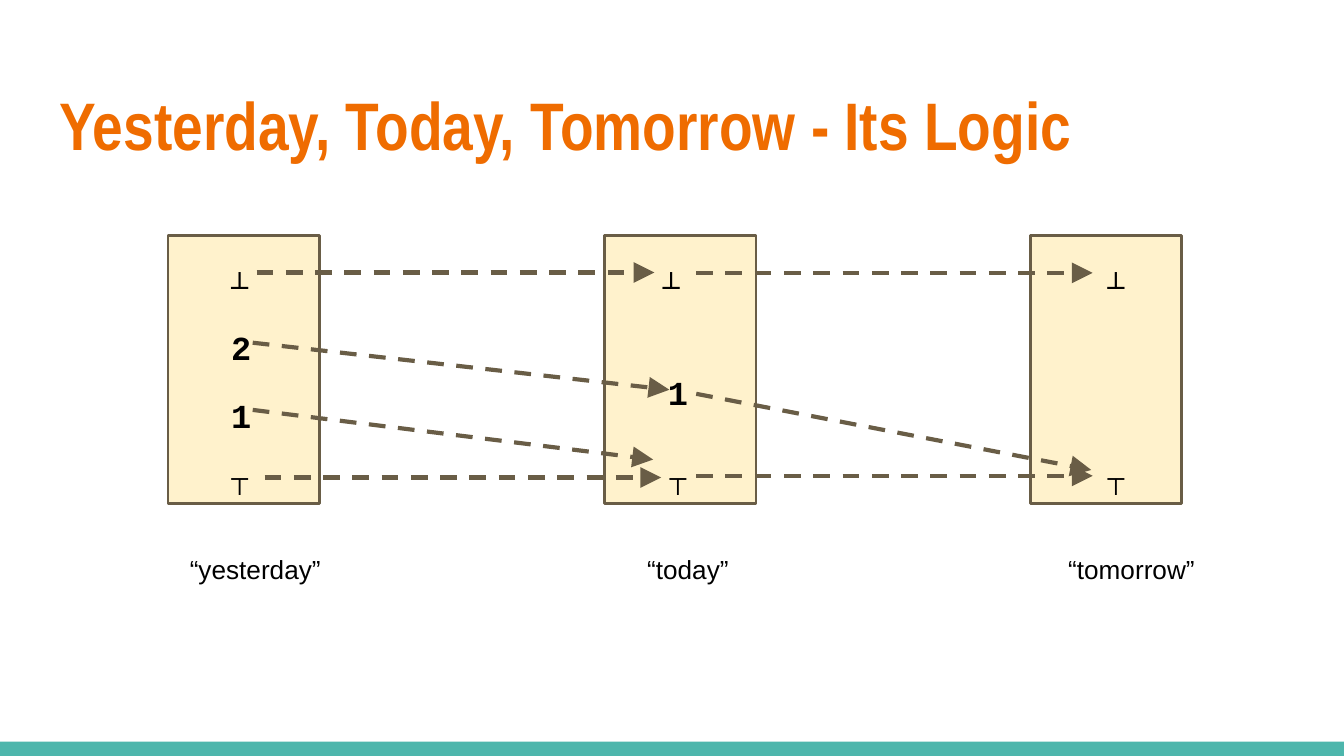
from lxml.etree import SubElement
from pptx import Presentation
from pptx.dml.color import RGBColor
from pptx.enum.dml import MSO_LINE
from pptx.enum.shapes import MSO_CONNECTOR, MSO_SHAPE
from pptx.enum.text import MSO_ANCHOR, MSO_AUTO_SIZE, PP_ALIGN
from pptx.oxml.ns import qn
from pptx.util import Pt

BROWN = "695D46"


def color(value):
    return RGBColor.from_string(value)


def set_text(shape, text, font, size, ink, bold, align, spacing=1.0):
    frame = shape.text_frame
    frame.text = text
    frame.word_wrap = True
    frame.auto_size = MSO_AUTO_SIZE.NONE
    frame.vertical_anchor = MSO_ANCHOR.TOP
    frame.margin_left = frame.margin_right = Pt(7.2)
    frame.margin_top = frame.margin_bottom = Pt(7.2)
    paragraph = frame.paragraphs[0]
    paragraph.alignment = align
    paragraph.line_spacing = spacing
    run = paragraph.runs[0]
    run.font.name = font
    run.font.size = Pt(size)
    run.font.bold = bold
    run.font.color.rgb = color(ink)


presentation = Presentation()
presentation.slide_width = Pt(720)
presentation.slide_height = Pt(405)
slide = presentation.slides.add_slide(presentation.slide_layouts[5])

# Bottom bar and the three day boxes: left, top, width, height, fill, outline
rectangles = [(0, 397.4, 720, 7.6, "4DB6AC", None)]
rectangles += [(left, 126, 81, 144, "FFF2CC", BROWN) for left in (90, 324, 552)]
for left, top, width, height, fill, outline in rectangles:
    shape = slide.shapes.add_shape(
        MSO_SHAPE.RECTANGLE, Pt(left), Pt(top), Pt(width), Pt(height))
    shape.shadow.inherit = False
    shape.fill.solid()
    shape.fill.fore_color.rgb = color(fill)
    if outline:
        shape.line.color.rgb = color(outline)
        shape.line.width = Pt(1.5)
    else:
        shape.line.fill.background()

# Title
title = slide.shapes.title
title.left, title.top, title.width, title.height = Pt(24.5), Pt(35.3), Pt(671), Pt(55.4)
set_text(title, "Yesterday, Today, Tomorrow - Its Logic", "Arial Narrow", 36,
         "EF6C00", True, PP_ALIGN.LEFT, 1.05)

# Day names below the boxes
for text, left in (("“yesterday”", 79.2), ("“today”", 311), ("“tomorrow”", 548.6)):
    label = slide.shapes.add_textbox(Pt(left), Pt(289.4), Pt(115.2), Pt(18.7))
    set_text(label, text, "Arial", 14, "000000", False, PP_ALIGN.CENTER)

# Truth values inside the boxes
values = [
    ("⊤", 115.2, 236.9), ("⊤", 349.9, 236.9), ("⊤", 584.6, 236.9),
    ("⊥", 115.2, 126.7), ("⊥", 346.3, 126.7), ("⊥", 584.6, 126.7),
    ("1", 349.9, 188.6), ("1", 115.9, 200.9), ("2", 115.9, 164.9),
]
for text, left, top in values:
    value = slide.shapes.add_textbox(Pt(left), Pt(top), Pt(26.6), Pt(18.7))
    set_text(value, text, "Courier New", 18, "000000", True, PP_ALIGN.CENTER, 1.15)

# Dashed arrows from each day to the next: start x, y, end x, y
arrows = [
    (137.5, 146, 350.6, 146), (373, 146.2, 585.4, 146.2),
    (141.8, 255.8, 354.2, 255.8), (373, 254.9, 585.4, 254.9),
    (373, 211, 584.6, 251.8), (135.4, 183.6, 358.6, 208.8),
    (135.4, 219.6, 349.9, 246.2),
]
for points in arrows:
    arrow = slide.shapes.add_connector(
        MSO_CONNECTOR.STRAIGHT, *[Pt(point) for point in points])
    arrow.line.color.rgb = color(BROWN)
    arrow.line.width = Pt(2.25)
    arrow.line.dash_style = MSO_LINE.DASH
    SubElement(arrow.line._get_or_add_ln(), qn("a:tailEnd"),
               type="triangle", w="lg", len="lg")
    SubElement(arrow._element.spPr, qn("a:effectLst"))

presentation.save("out.pptx")
